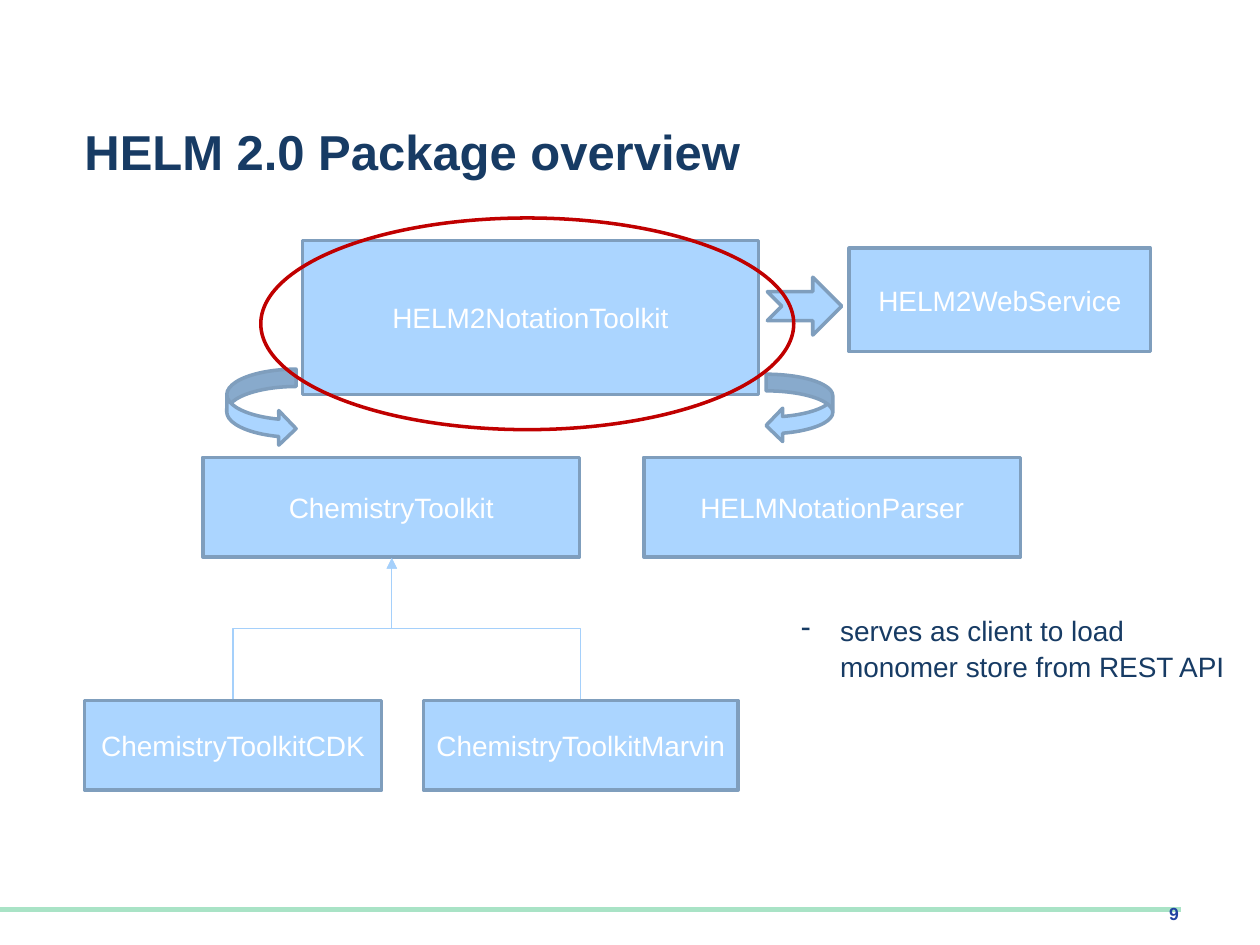
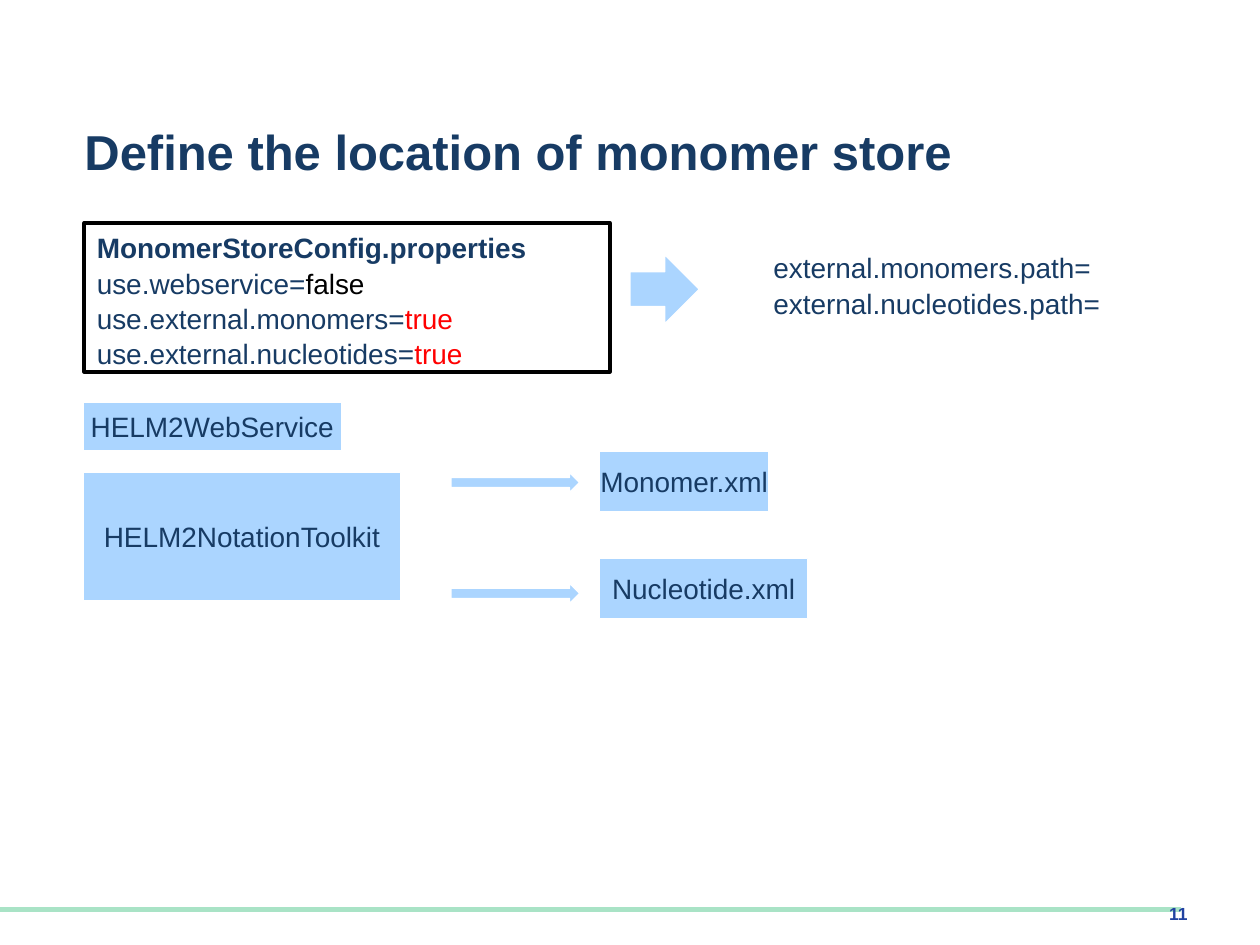
from lxml import etree
from pptx import Presentation
from pptx import util as u
from pptx.dml.color import RGBColor
from pptx.enum import shapes, text
from pptx.oxml.ns import qn

PX = 9144  # 100 px to the inch
FONT = "Arial"
NAVY, WHITE, BLACK, RED = "173B64", "FFFFFF", "000000", "FF0000"
SKY, STEEL, WIRE = "ABD5FF", "7F9EBD", "A5D0FB"
MINT, INDIGO, CRIMSON = "A9E3C6", "2143A1", "C00000"
KIND = shapes.MSO_SHAPE
ALIGN, ANCHOR = text.PP_ALIGN, text.MSO_ANCHOR


def px(*sizes):
    return [u.Emu(size * PX) for size in sizes]


def rgb(code):
    return RGBColor.from_string(code)


def write(frame, paras, size=16, bold=False, align=None, space=None):
    """Fill a frame; each paragraph is a list of (words, colour) runs."""
    for i, runs in enumerate(paras):
        para = frame.paragraphs[0] if i == 0 else frame.add_paragraph()
        para.alignment = align
        para.line_spacing = space
        for words, color in runs:
            run = para.add_run()
            run.text = words
            run.font.name = FONT
            run.font.size = u.Pt(size)
            run.font.bold = bold
            run.font.color.rgb = rgb(color)


def note(slide, spot, paras, tight=False, anchor=ANCHOR.TOP, **style):
    """Add a text box; a tight one has no insets."""
    frame = slide.shapes.add_textbox(*px(*spot)).text_frame
    frame.word_wrap = True
    frame.vertical_anchor = anchor
    if tight:
        frame.margin_left = frame.margin_right = 0
        frame.margin_top = frame.margin_bottom = 0
    write(frame, paras, **style)
    return frame


def form(slide, kind, spot, line, width, fill=SKY):
    shape = slide.shapes.add_shape(kind, *px(*spot))
    shape.shadow.inherit = False
    if fill:
        shape.fill.solid()
        shape.fill.fore_color.rgb = rgb(fill)
    else:
        shape.fill.background()
    shape.line.color.rgb = rgb(line)
    shape.line.width = u.Pt(width)
    return shape


def box(slide, label, spot, color=WHITE, line=STEEL, width=2, wrap=True):
    frame = form(slide, KIND.RECTANGLE, spot, line, width).text_frame
    frame.word_wrap = wrap
    frame.vertical_anchor = ANCHOR.MIDDLE
    write(frame, [[(label, color)]], align=ALIGN.CENTER)


def wire(slide, kind, ends, color, width):
    link = slide.shapes.add_connector(kind, *px(*ends))
    link.line.color.rgb = rgb(color)
    link.line.width = u.Pt(width)
    etree.SubElement(link._element.spPr, qn("a:effectLst"))
    return link


def riser(slide, start, end):
    """Add an elbow arrow that leaves and arrives vertically, going up."""
    (x1, y1), (x2, y2) = start, end
    midx, midy = (x1 + x2) // 2, (y1 + y2) // 2
    half, rise = abs(x2 - x1) // 2, (y1 - y2) // 2
    side = 1 if x1 < x2 else -1
    ends = (midx + side * rise, midy + half, midx - side * rise, midy - half)
    link = wire(slide, shapes.MSO_CONNECTOR.ELBOW, ends, WIRE, 0.75)
    turn = 90 if side > 0 else 270
    link._element.spPr.find(qn("a:xfrm")).set("rot", str(turn * 60000))
    line = link.line._get_or_add_ln()
    etree.SubElement(line, qn("a:tailEnd"), type="triangle")


def dash(para, indent):
    """Give a paragraph a hanging dash bullet."""
    props = para._p.get_or_add_pPr()
    props.set("marL", str(indent * PX))
    props.set("indent", str(-indent * PX))
    etree.SubElement(props, qn("a:buChar"), char="-")


def page(deck, title, number):
    """Add a slide with the shared title, footer rule and page number."""
    slide = deck.slides.add_slide(deck.slide_layouts[6])
    wire(slide, shapes.MSO_CONNECTOR.STRAIGHT, (0, 722, 937, 722), MINT, 3)
    note(slide, (67, 92, 922, 65), [[(title, NAVY)]], tight=True,
         size=28, bold=True, space=1.1)
    note(slide, (928, 711, 83, 22), [[(number, INDIGO)]], tight=True,
         anchor=ANCHOR.BOTTOM, size=10, bold=True)
    return slide


def packages(deck):
    slide = page(deck, "HELM 2.0 Package overview", "9")
    for label, spot in (
        ("HELM2NotationToolkit", (240, 191, 362, 122)),
        ("ChemistryToolkit", (161, 363, 299, 79)),
        ("ChemistryToolkitMarvin", (336, 556, 250, 71)),
        ("ChemistryToolkitCDK", (67, 556, 236, 71)),
        ("HELMNotationParser", (511, 363, 299, 79)),
        ("HELM2WebService", (674, 197, 239, 82)),
    ):
        box(slide, label, spot)
    for x in (185, 461):
        riser(slide, (x, 556), (311, 443))
    for kind, spot in (
        (KIND.CURVED_RIGHT_ARROW, (180, 293, 55, 61)),
        (KIND.CURVED_LEFT_ARROW, (608, 297, 53, 54)),
        (KIND.NOTCHED_RIGHT_ARROW, (609, 220, 59, 46)),
    ):
        form(slide, kind, spot, STEEL, 2)
    form(slide, KIND.OVAL, (207, 173, 423, 168), CRIMSON, 2, fill=None)
    client = "serves as client to load monomer store from REST API"
    frame = note(slide, (626, 481, 360, 64), [[(client, NAVY)]], space=1.05)
    dash(frame.paragraphs[0], 31)


def store(deck):
    slide = page(deck, "Define the location of monomer store", "11")
    config = form(slide, KIND.RECTANGLE, (67, 177, 417, 118), BLACK, 2.25,
                  fill=None).text_frame
    config.word_wrap = True
    config.vertical_anchor = ANCHOR.TOP
    write(config, [
        [("MonomerStoreConfig.properties", NAVY)],
        [("use.webservice=", NAVY), ("false", BLACK)],
        [("use.external.monomers=", NAVY), ("true", RED)],
        [("use.external.nucleotides=", NAVY), ("true", RED)],
    ], align=ALIGN.JUSTIFY, space=1.05)
    config.paragraphs[0].runs[0].font.bold = True
    for label, spot in (
        ("HELM2NotationToolkit", (66, 375, 252, 102)),
        ("HELM2WebService", (66, 319, 205, 39)),
        ("Monomer.xml", (476, 358, 134, 48)),
        ("Nucleotide.xml", (476, 443, 165, 48)),
    ):
        box(slide, label, spot, NAVY, WHITE, 0.75, wrap=False)
    for spot in ((500, 202, 55, 55), (358, 375, 102, 16), (358, 463, 102, 16)):
        form(slide, KIND.RIGHT_ARROW, spot, WHITE, 0.75)
    note(slide, (604, 193, 363, 64), [
        [("external.monomers.path=", NAVY)],
        [("external.nucleotides.path=", NAVY)],
    ], space=1.05)


def main():
    deck = Presentation()
    deck.slide_width, deck.slide_height = px(1000, 750)
    packages(deck)
    store(deck)
    deck.save("out.pptx")


if __name__ == "__main__":
    main()
